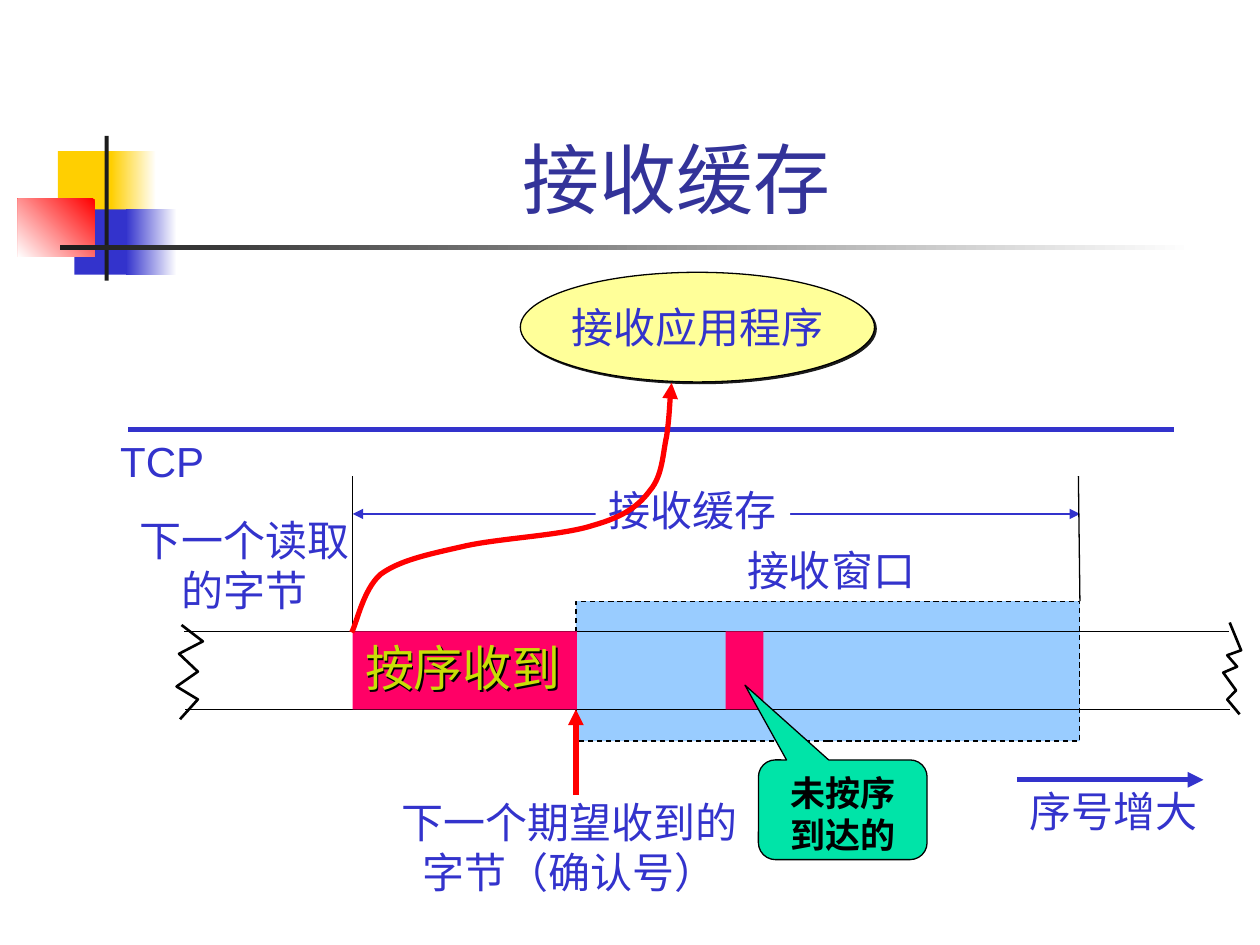
import pptx
import pptx.util
import pptx.dml.color
import pptx.enum.dml
import pptx.enum.shapes
import pptx.enum.text
import pptx.oxml
import pptx.oxml.ns
from lxml import etree

Cm, Pt = pptx.util.Cm, pptx.util.Pt
RGB = pptx.dml.color.RGBColor
KIND = pptx.enum.shapes.MSO_SHAPE
ALIGN = pptx.enum.text.PP_ALIGN
ANCHOR = pptx.enum.text.MSO_ANCHOR
FIT = pptx.enum.text.MSO_AUTO_SIZE
qn = pptx.oxml.ns.qn

# Colours
WHITE = RGB(0xFF, 0xFF, 0xFF)
BLACK = RGB(0x00, 0x00, 0x00)
DARK = RGB(0x1C, 0x1C, 0x1C)
GOLD = RGB(0xFF, 0xCF, 0x01)
BLUE = RGB(0x33, 0x33, 0xCC)
NAVY = RGB(0x33, 0x33, 0x99)
SKY = RGB(0x99, 0xCC, 0xFF)
RED = RGB(0xFF, 0x00, 0x00)
PINK = RGB(0xFF, 0x00, 0x66)
CREAM = RGB(0xFF, 0xFF, 0x99)
LIME = RGB(0xC9, 0xDE, 0x06)
MINT = RGB(0x00, 0xE4, 0xA8)

# Shared positions in cm: the byte strip and its marks
TOP, LOW = 12.73, 14.3
READ, NEXT, LAST = 7.11, 11.61, 21.77
DEEP = LOW - TOP

# Corner decoration: place, fill (a pair is a gradient) and its angle
DECOR = [
    ((1.17, 3.05, 1.22, 1.32), GOLD, 0),
    ((2.24, 3.05, 0.91, 1.32), (WHITE, GOLD), 180),
    ((1.5, 4.22, 1.17, 1.32), BLUE, 0),
    ((2.54, 4.22, 1.02, 1.32), (WHITE, BLUE), 180),
    ((0.36, 4.01, 1.55, 1.17), (RED, WHITE), 225),
    ((2.11, 2.74, 0.08, 2.92), DARK, 0),
    ((1.22, 4.94, 22.86, 0.1), (WHITE, DARK), 180),
]

# Lines: from, to, colour, width, arrowheads
LINES = [
    ((2.59, 8.66), (23.67, 8.66), BLUE, 3, ()),
    ((3.71, TOP), (24.77, TOP), BLACK, 0.75, ()),
    ((3.73, LOW), (24.79, LOW), BLACK, 0.75, ()),
    ((READ, 9.6), (READ, TOP), BLACK, 0.75, ()),
    ((READ, 10.36), (LAST, 10.36), BLUE, 0.75, ("headEnd", "tailEnd")),
    ((21.74, 9.6), (LAST, 12.12), BLACK, 0.75, ()),
    ((20.5, 15.72), (24.26, 15.72), BLUE, 3, ("tailEnd",)),
    ((NEXT, 16.03), (NEXT, LOW), RED, 3, ("tailEnd",)),
]

# Received bytes
BYTES = [(READ, TOP, 4.52, DEEP), (14.63, TOP, 0.76, DEEP)]

# Labels: text, place, alignment
LABELS = [
    ("接收窗口", (14.81, 10.85, 4, 1.27), ALIGN.LEFT),
    ("TCP", (1.97, 8.66, 2.6, 1.27), ALIGN.CENTER),
    ("接收缓存", (12.01, 9.65, 3.92, 1.27), ALIGN.LEFT),
    ("下一个读取\n的字节", (2.33, 10.24, 5.2, 2.29), ALIGN.CENTER),
    ("序号增大", (20.3, 15.72, 4.3, 1.27), ALIGN.CENTER),
    ("下一个期望收到的\n字节（确认号）", (7.58, 15.93, 7.8, 2.29), ALIGN.CENTER),
]

# Start point, then two controls and an end for each bend
CURVE = [
    (7.09, 12.75),
    (7.19, 12.57), (7.32, 11.89), (7.67, 11.58),
    (8.05, 11.3), (8.61, 11.18), (9.32, 11.02),
    (10.03, 10.85), (11.33, 10.8), (11.96, 10.59),
    (12.6, 10.41), (12.88, 10.19), (13.11, 9.88),
    (13.36, 9.58), (13.36, 9.14), (13.44, 8.79),
    (13.49, 8.43), (13.51, 7.95), (13.54, 7.72),
]
BREAKS = [
    [(24.79, 12.55), (25.02, 13.11), (24.74, 13.21), (24.94, 13.44),
     (24.66, 13.56), (24.92, 13.92), (24.74, 14.1), (24.99, 14.4)],
    [(3.66, 12.6), (4.09, 12.93), (3.61, 13.18), (3.99, 13.54),
     (3.56, 13.84), (3.99, 14.1), (3.63, 14.5)],
]

# Text formats
HEAD = {"name": "Arial", "size": Pt(44), "bold": False}
NOTE = {"name": "Arial", "size": Pt(24)}
BIG = {"name": "Arial", "size": Pt(28)}
CALL = {"name": "Roboto", "size": Pt(20), "bold": True}


def cms(place):
    return [Cm(v) for v in place]


def stroke(line, tint, width, ends=()):
    line.color.rgb = tint
    line.width = Pt(width)
    for end in ends:
        etree.SubElement(line._get_or_add_ln(), qn("a:" + end), type="triangle")


def shade(shape, tint):
    """Give a shape a small offset shadow."""
    shape.shadow.inherit = False
    host = shape._element.spPr.find(qn("a:effectLst"))
    drop = etree.SubElement(host, qn("a:outerShdw"), dist="17780", dir="2700000")
    etree.SubElement(drop, qn("a:srgbClr"), val=str(tint))


def write(shape, text, form, tint, align=ALIGN.CENTER, wrap=False, **more):
    frame = shape.text_frame
    frame.text = text
    frame.word_wrap = wrap
    for key, val in more.items():
        setattr(frame, key, val)
    for para in frame.paragraphs:
        para.alignment = align
        for run in para.runs:
            for key, val in form.items():
                setattr(run.font, key, val)
            run.font.color.rgb = tint


def block(kind, place, fill, angle=0, edge=None):
    shape = slide.shapes.add_shape(kind, *cms(place))
    shape.shadow.inherit = False
    if isinstance(fill, RGB):
        shape.fill.solid()
        shape.fill.fore_color.rgb = fill
    else:
        shape.fill.gradient()
        shape.fill.gradient_angle = angle
        for stop, tint in zip(shape.fill.gradient_stops, fill):
            stop.color.rgb = tint
    if edge is None:
        shape.line.fill.background()
    else:
        stroke(shape.line, edge, 0.75)
    return shape


def trace(points, tint, width, ends=()):
    dots = [(round(x * 100), round(y * 100)) for x, y in points]
    pen = slide.shapes.build_freeform(*dots[0], scale=Cm(0.01))
    pen.add_line_segments(dots[1:], close=False)
    shape = pen.convert_to_shape()
    shape.shadow.inherit = False
    shape.fill.background()
    stroke(shape.line, tint, width, ends)
    return shape


def bend(shape):
    """Turn each three straight steps into one cubic curve."""
    steps = list(shape._element.iter(qn("a:lnTo")))
    for i in range(0, len(steps), 3):
        cubic = etree.Element(qn("a:cubicBezTo"))
        steps[i].addprevious(cubic)
        for step in steps[i:i + 3]:
            cubic.append(step[0])
            step.getparent().remove(step)


deck = pptx.Presentation()
deck.slide_width, deck.slide_height = Cm(25.4), Cm(19.05)
slide = deck.slides.add_slide(deck.slide_layouts[5])

# Title
title = slide.shapes.title
title.left, title.top, title.width, title.height = cms((3.2, 0.58, 20.9, 4.06))
write(title, "接收缓存", HEAD, NAVY, wrap=True,
      vertical_anchor=ANCHOR.BOTTOM, auto_size=FIT.NONE)

# Decoration
for place, fill, angle in DECOR:
    block(KIND.RECTANGLE, place, fill, angle)

# Receive window and application
window = block(KIND.RECTANGLE, (NEXT, 12.12, 10.16, 2.82), SKY, edge=BLACK)
window.line.dash_style = pptx.enum.dml.MSO_LINE.DASH
app = block(KIND.OVAL, (10.49, 5.49, 7.14, 2.21), CREAM, edge=BLACK)
shade(app, DARK)
write(app, "接收应用程序", NOTE, BLUE, vertical_anchor=ANCHOR.MIDDLE)

# Lines and arrows
for start, stop, tint, width, ends in LINES:
    line = slide.shapes.add_connector(
        pptx.enum.shapes.MSO_CONNECTOR.STRAIGHT, *cms(start + stop))
    stroke(line.line, tint, width, ends)
    etree.SubElement(line._element.spPr, qn("a:effectLst"))

# Received bytes and their caption
for place in BYTES:
    block(KIND.RECTANGLE, place, PINK)
order = slide.shapes.add_textbox(*cms((READ, TOP, 4.6, 1.45)))
write(order, "按序收到", BIG, LIME, ALIGN.LEFT, auto_size=FIT.NONE)
shade(order, BLACK)

# Labels; the buffer label hides the line behind it
for text, place, align in LABELS:
    label = slide.shapes.add_textbox(*cms(place))
    write(label, text, NOTE, BLUE, align, wrap=True, auto_size=FIT.NONE)
    if text == "接收缓存":
        label.fill.solid()
        label.fill.fore_color.rgb = WHITE

# Read path and strip breaks
bend(trace(CURVE, RED, 3, ("tailEnd",)))
for points in BREAKS:
    trace(points, BLACK, 1.5)

# Callout
call = block(KIND.ROUNDED_RECTANGULAR_CALLOUT, (15.29, 15.32, 3.4, 2.01), MINT, edge=BLACK)
for i, val in enumerate((-0.58, -1.25, 0.17)):
    call.adjustments[i] = val
write(call, "未按序到达的", CALL, BLACK, wrap=True, vertical_anchor=ANCHOR.TOP)

deck.save("out.pptx")
